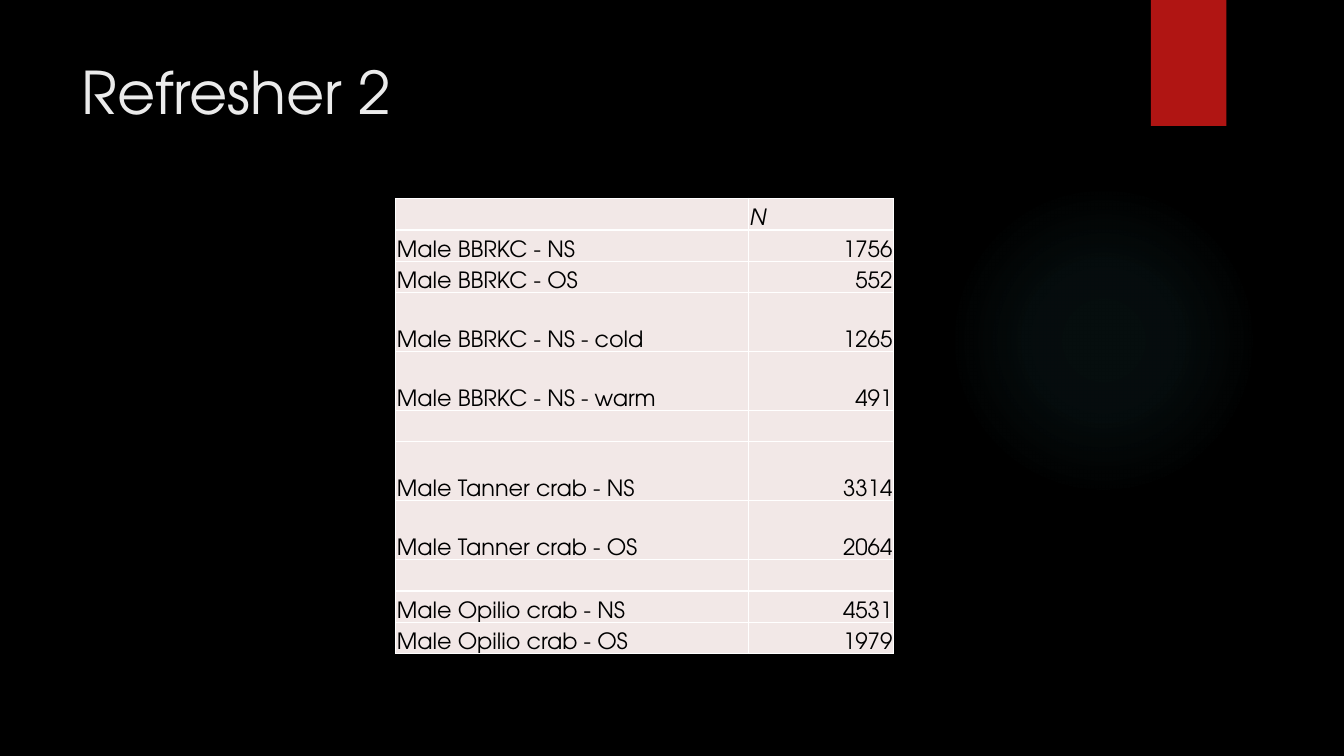
from lxml.etree import SubElement
from pptx import Presentation
from pptx.dml.color import RGBColor
from pptx.enum.shapes import MSO_SHAPE as Preset
from pptx.enum.text import MSO_ANCHOR as Anchor, PP_ALIGN as Align
from pptx.oxml import parse_xml
from pptx.oxml.ns import nsdecls, qn
from pptx.util import Pt

PX = 9525
FONT = "TeX Gyre Adventor"
BLACK = RGBColor(0x00, 0x00, 0x00)
WHITE = RGBColor(0xFF, 0xFF, 0xFF)
TITLE_GREY = RGBColor(0xEB, 0xEB, 0xEB)
RED = RGBColor(0xB0, 0x15, 0x13)
TEAL = RGBColor(0x50, 0xB9, 0xC1)
CELL_PINK = RGBColor(0xF2, 0xE8, 0xE7)

SHORT, TALL = 30, 56
COLUMN_WIDTHS = (336, 138)
CRAB_COUNTS = [
    ("", "N", SHORT),
    ("Male BBRKC - NS", "1756", SHORT),
    ("Male BBRKC - OS", "552", SHORT),
    ("Male BBRKC - NS - cold", "1265", TALL),
    ("Male BBRKC - NS - warm", "491", TALL),
    ("", "", SHORT),
    ("Male Tanner crab - NS", "3314", TALL),
    ("Male Tanner crab - OS", "2064", TALL),
    ("", "", SHORT),
    ("Male Opilio crab - NS", "4531", SHORT),
    ("Male Opilio crab - OS", "1979", SHORT),
]


def px(*lengths):
    return [length * PX for length in lengths]


def write_text(frame, text, *, size, color, align=Align.LEFT, italic=False):
    paragraph = frame.paragraphs[0]
    paragraph.alignment = align
    run = paragraph.add_run()
    run.text = text
    font = run.font
    font.name, font.size, font.italic = FONT, Pt(size), italic
    font.color.rgb = color


def add_plain_shape(slide, preset, *box):
    shape = slide.shapes.add_shape(preset, *px(*box))
    shape.shadow.inherit = False
    shape.line.fill.background()
    return shape


def add_glow(slide):
    """Add the faint circle that fades out from its centre."""
    glow = add_plain_shape(slide, Preset.OVAL, 903, 176, 296, 296)
    stops = "".join(
        f'<a:gs pos="{position * 1000}"><a:srgbClr val="{TEAL}">'
        f'<a:alpha val="{opacity * 1000}"/></a:srgbClr></a:gs>'
        for position, opacity in ((0, 7), (36, 6), (69, 0))
    )
    gradient = parse_xml(
        f'<a:gradFill {nsdecls("a")}><a:gsLst>{stops}</a:gsLst>'
        '<a:path path="circle"><a:fillToRect l="50000" t="50000" '
        'r="50000" b="50000"/></a:path></a:gradFill>'
    )
    glow.element.spPr.find(qn("a:prstGeom")).addnext(gradient)


def add_ribbon(slide):
    ribbon = add_plain_shape(slide, Preset.RECTANGLE, 1096, 0, 72, 120)
    ribbon.fill.solid()
    ribbon.fill.fore_color.rgb = RED


def add_title(slide, text):
    frame = slide.shapes.add_textbox(*px(68, 48, 988, 147)).text_frame
    frame.word_wrap = True
    write_text(frame, text, size=42, color=TITLE_GREY)


def add_borders(cell):
    properties = cell._tc.get_or_add_tcPr()
    for side in ("a:lnL", "a:lnR", "a:lnT", "a:lnB"):
        border = SubElement(properties, qn(side), w=str(Pt(1)))
        fill = SubElement(border, qn("a:solidFill"))
        SubElement(fill, qn("a:srgbClr"), val=str(WHITE))


def fill_cell(cell, text, **text_format):
    add_borders(cell)
    cell.fill.solid()
    cell.fill.fore_color.rgb = CELL_PINK
    cell.vertical_anchor = Anchor.BOTTOM
    cell.margin_left = cell.margin_right = cell.margin_top = PX
    cell.margin_bottom = 0
    write_text(cell.text_frame, text, size=16, color=BLACK, **text_format)


def add_count_table(slide):
    height = sum(row_height for _, _, row_height in CRAB_COUNTS)
    box = px(377, 189, sum(COLUMN_WIDTHS), height)
    table = slide.shapes.add_table(len(CRAB_COUNTS), 2, *box).table
    for column, width in zip(table.columns, COLUMN_WIDTHS):
        column.width = width * PX
    for index, (group, count, row_height) in enumerate(CRAB_COUNTS):
        row = table.rows[index]
        row.height = row_height * PX
        is_header = index == 0
        fill_cell(row.cells[0], group)
        fill_cell(row.cells[1], count, italic=is_header,
                  align=Align.LEFT if is_header else Align.RIGHT)


def main():
    deck = Presentation()
    deck.slide_width, deck.slide_height = px(1280, 720)
    slide = deck.slides.add_slide(deck.slide_layouts[6])
    slide.background.fill.solid()
    slide.background.fill.fore_color.rgb = BLACK
    add_glow(slide)
    add_ribbon(slide)
    add_title(slide, "Refresher 2")
    add_count_table(slide)
    deck.save("out.pptx")


if __name__ == "__main__":
    main()
